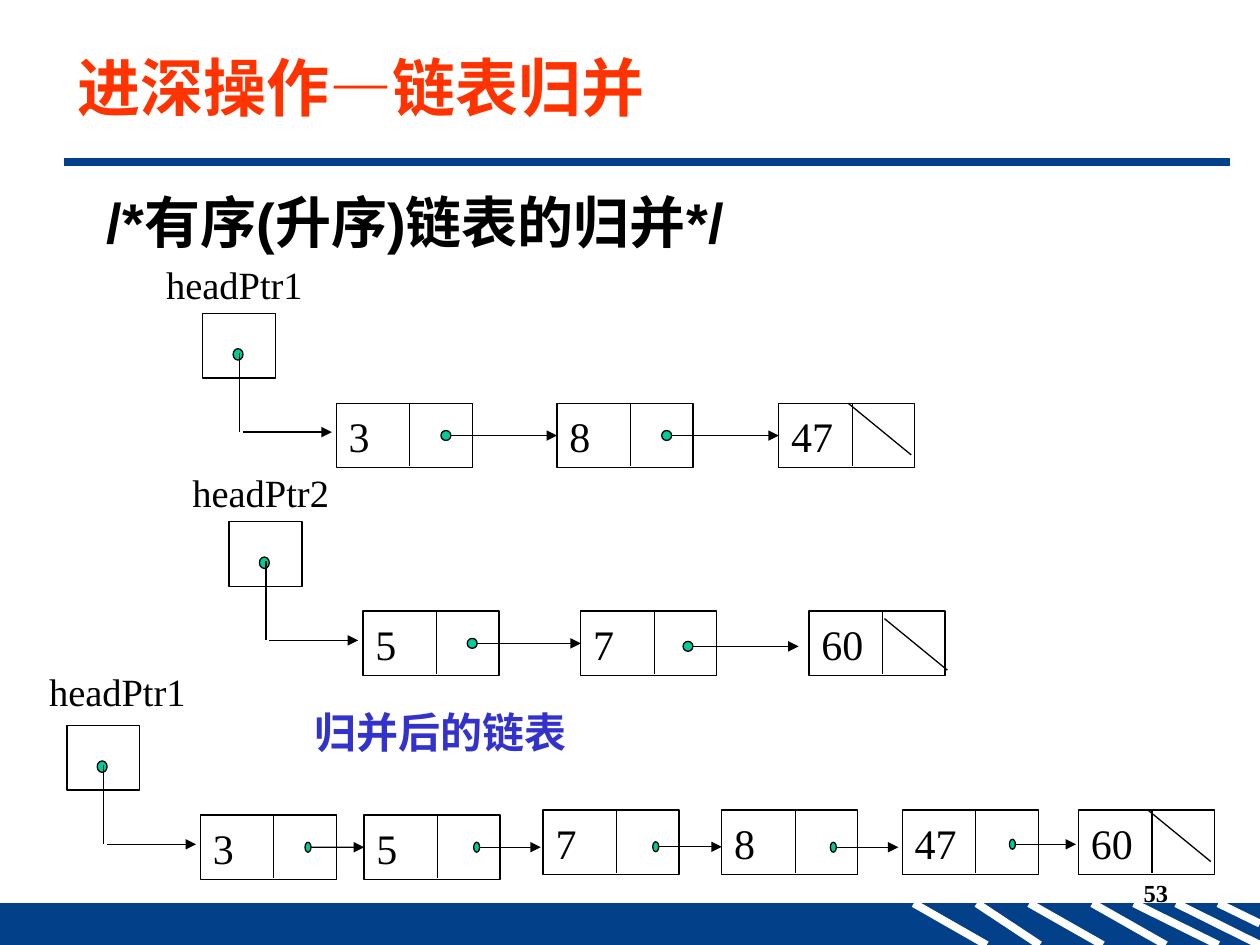
import lxml.etree
import pptx
import pptx.dml.color
import pptx.enum.shapes
import pptx.enum.text
import pptx.oxml.ns
import pptx.util

Cm = pptx.util.Cm
Pt = pptx.util.Pt
qn = pptx.oxml.ns.qn
SHAPE = pptx.enum.shapes.MSO_SHAPE
ALIGN = pptx.enum.text.PP_ALIGN
ANCHOR = pptx.enum.text.MSO_ANCHOR

THEME = {
    "latin": "Times New Roman", "body": "Arial", "cjk": "Noto Sans CJK SC",
    "ink": "000000", "title": "FF3300", "caption": "3333CC",
    "band": "024089", "stripe": "FFFFFF", "dot": "00CC99",
    "title_size": 36, "body_size": 32, "node_size": 24,
    "label_size": 22, "number_size": 14, "thin": 0.75, "thick": 4.5,
}

TITLE = "进深操作—链表归并"
BODY = "/*有序(升序)链表的归并*/"
CAPTION = "归并后的链表"
NUMBER = "53"

# Links are (dot left, arrow end, y); a link without an end joins the next node.
LISTS = [
    {"label": "headPtr1", "label_at": (3.1, 5.13), "head": (4.09, 6.32), "dot": 0.2,
     "nodes": [("3", 6.78, 8.13), ("8", 11.23, 8.13), ("47", 15.7, 8.13)],
     "links": [(8.89, None, None), (13.34, None, None)], "slash": (1.4, 0)},
    {"label": "headPtr2", "label_at": (3.63, 9.32), "head": (4.62, 10.52), "dot": 0.2,
     "nodes": [("5", 7.32, 12.32), ("7", 11.71, 12.32), ("60", 16.31, 12.32)],
     "links": [(9.42, None, None), (13.77, 16.1, 13.03)], "slash": (1.52, 0.15)},
    {"label": "headPtr1", "label_at": (0.74, 13.34), "head": (1.35, 14.63), "dot": 0.12,
     "nodes": [("3", 4.04, 16.43), ("5", 7.34, 16.43), ("7", 10.95, 16.33),
               ("8", 14.55, 16.33), ("47", 18.19, 16.33), ("60", 21.74, 16.33)],
     "links": [(6.15, None, None), (9.55, 10.9, 17.08), (13.16, 14.55, 17.07),
               (16.74, 18.11, 17.08), (20.35, 21.69, 17.02)], "slash": (1.4, 0)},
]

STRIPES = [(18.42, 19.89), (19.69, 20.96), (20.75, 22.23), (22.02, 23.5),
           (22.86, 24.56), (23.71, 25.4)]
WIDTH, HEIGHT, BAND_TOP = 25.4, 19.05, 18.21
NODE_W, BOX_W, BOX_H, DIVIDER_H = 2.74, 1.47, 1.3, 1.27


def rgb(name):
    return pptx.dml.color.RGBColor.from_string(THEME[name])


def write(sp, text, size="node_size", color="ink", font="latin", bold=False,
          align=ALIGN.LEFT, anchor=ANCHOR.TOP, hanging=0):
    tf = sp.text_frame
    tf.word_wrap = True
    tf.auto_size = pptx.enum.text.MSO_AUTO_SIZE.NONE
    tf.vertical_anchor = anchor
    p = tf.paragraphs[0]
    p.alignment = align
    p.space_before = Pt(0)
    pPr = p._p.get_or_add_pPr()
    pPr.set("marL", str(Cm(hanging)))
    pPr.set("indent", str(-Cm(hanging)))
    lxml.etree.SubElement(pPr, qn("a:buNone"))
    r = p.add_run()
    r.text = text
    r.font.size = Pt(THEME[size])
    r.font.bold = bold
    r.font.color.rgb = rgb(color)
    r.font.name = THEME[font]
    ea = lxml.etree.SubElement(r._r.get_or_add_rPr(), qn("a:ea"))
    ea.set("typeface", THEME["cjk"])


def place(sp, x, y, w, h):
    sp.left, sp.top, sp.width, sp.height = Cm(x), Cm(y), Cm(w), Cm(h)
    return sp


def add_text(s, text, x, y, w, h, **fmt):
    write(s.shapes.add_textbox(Cm(x), Cm(y), Cm(w), Cm(h)), text, **fmt)


def add_box(s, x, y, w, h, kind=SHAPE.RECTANGLE, fill=None, line="ink"):
    sp = s.shapes.add_shape(kind, Cm(x), Cm(y), Cm(w), Cm(h))
    sp.shadow.inherit = False
    if fill:
        sp.fill.solid()
        sp.fill.fore_color.rgb = rgb(fill)
    else:
        sp.fill.background()
    sp.line.color.rgb = rgb(line)
    sp.line.width = Pt(THEME["thin"])
    return sp


def add_line(s, x1, y1, x2, y2, color="ink", weight="thin", arrow=False):
    cx = s.shapes.add_connector(pptx.enum.shapes.MSO_CONNECTOR.STRAIGHT,
                                Cm(x1), Cm(y1), Cm(x2), Cm(y2))
    cx.line.color.rgb = rgb(color)
    cx.line.width = Pt(THEME[weight])
    if arrow:
        tail = lxml.etree.SubElement(cx.line._get_or_add_ln(), qn("a:tailEnd"))
        tail.set("type", "triangle")
    lxml.etree.SubElement(cx._element.spPr, qn("a:effectLst"))
    return cx


def add_dot(s, x, y, w, h):
    add_box(s, x, y, w, h, kind=SHAPE.OVAL, fill="dot")


def add_head(s, x, y):
    add_box(s, x, y, BOX_W, BOX_H)
    add_dot(s, x + 0.61, y + 0.71, 0.2, 0.23)
    add_line(s, x + 0.74, y + 0.79, x + 0.74, y + 2.39)
    add_line(s, x + 0.8, y + 2.39, x + 2.6, y + 2.39, arrow=True)


def add_node(s, text, x, y):
    sp = add_box(s, x, y, NODE_W, BOX_H)
    write(sp, text, anchor=ANCHOR.MIDDLE)
    add_line(s, x + 1.48, y, x + 1.48, y + DIVIDER_H)
    return sp


def add_linked_list(s, data):
    add_text(s, data["label"], *data["label_at"], 3.38, 1.19,
             size="label_size", anchor=ANCHOR.MIDDLE)
    add_head(s, *data["head"])
    nodes = [add_node(s, *node) for node in data["nodes"]]
    dot_w = data["dot"]
    for link, target, (_, nx, ny) in zip(data["links"], nodes[1:], data["nodes"][1:]):
        x, end, y = link
        joined = end is None
        if joined:
            end, y = nx, ny + BOX_H / 2
        cx = add_line(s, x + dot_w, y, end, y, arrow=True)
        if joined:
            cx.end_connect(target, 1)
        add_dot(s, x, y - 0.1, dot_w, 0.2)
    _, x, y = data["nodes"][-1]
    dx, dy = data["slash"]
    add_line(s, x + dx, y + dy, x + dx + 1.27, y + dy + 1.04)


def add_frame(s):
    add_box(s, 0, BAND_TOP, WIDTH, HEIGHT - BAND_TOP, fill="band", line="band")
    for x1, x2 in STRIPES:
        add_line(s, x1, BAND_TOP, x2, HEIGHT, color="stripe", weight="thick")
    add_line(s, 24.56, BAND_TOP, WIDTH, 18.62, color="stripe", weight="thick")
    add_line(s, 1.3, 3.27, 24.79, 3.27, color="band", weight="thick")


def main():
    prs = pptx.Presentation()
    prs.slide_width, prs.slide_height = Cm(WIDTH), Cm(HEIGHT)
    s = prs.slides.add_slide(prs.slide_layouts[1])
    write(place(s.shapes.title, 1.3, 0.74, 23.6, 2.01), TITLE, size="title_size",
          color="title", font="cjk", bold=True, anchor=ANCHOR.MIDDLE)
    write(place(s.placeholders[1], 1.9, 3.66, 21.59, 12.8), BODY, size="body_size",
          font="body", bold=True, hanging=0.95)
    add_frame(s)
    add_text(s, NUMBER, 18.52, 17.58, 5.28, 1.27, size="number_size",
             bold=True, align=ALIGN.RIGHT)
    for data in LISTS:
        add_linked_list(s, data)
    add_text(s, CAPTION, 6.1, 14.12, 12.4, 1.27, color="caption", bold=True)
    prs.save("out.pptx")


if __name__ == "__main__":
    main()
